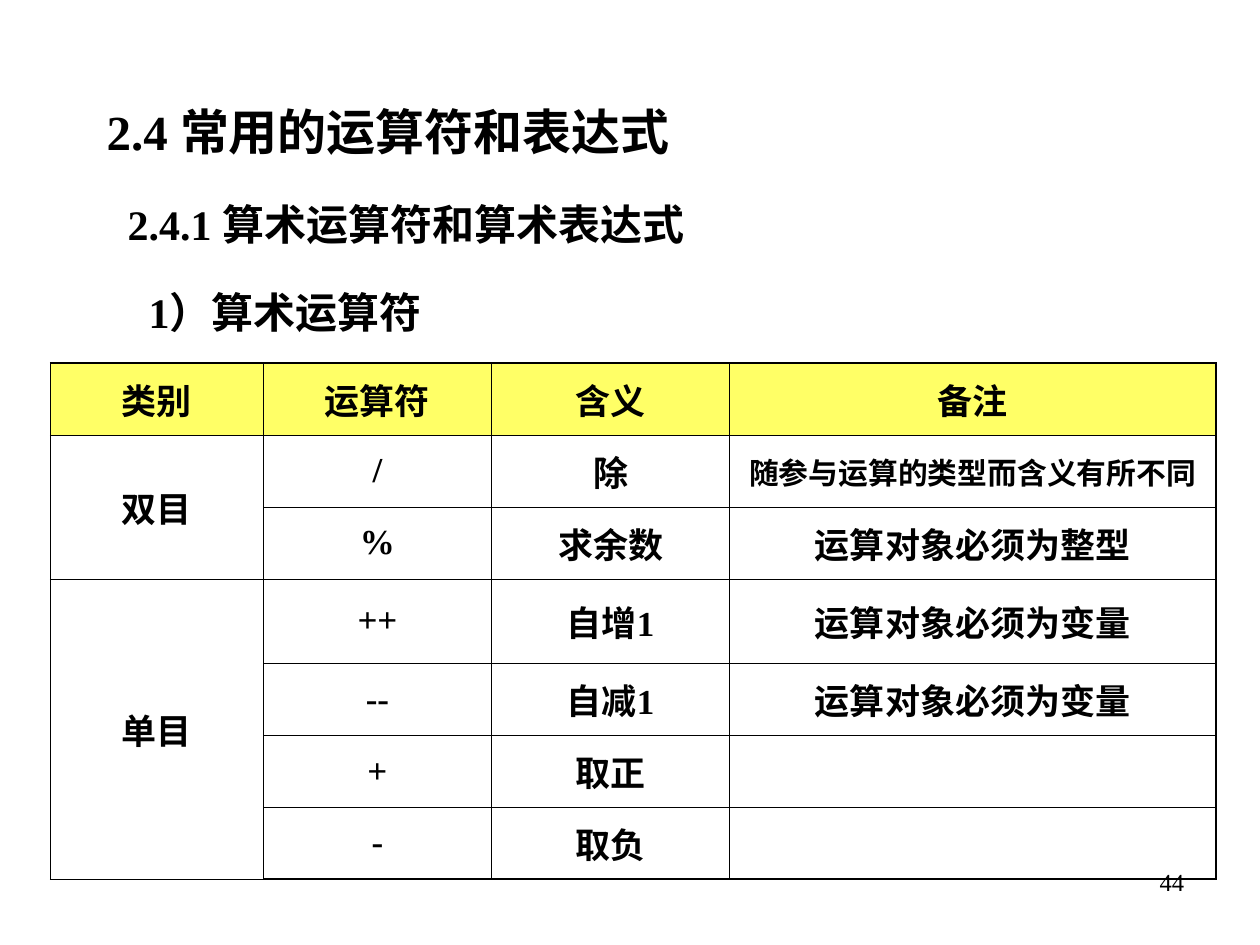
from dataclasses import dataclass

import lxml.etree
import pptx
import pptx.dml.color
import pptx.enum.text
import pptx.oxml.ns
import pptx.util

Cm = pptx.util.Cm
Pt = pptx.util.Pt
PP_ALIGN = pptx.enum.text.PP_ALIGN

FONT = "Times New Roman"
COLORS = {"text": "000000", "border": "000000", "header": "FFFF66"}
THIN, THICK = 0.45, 1.08


@dataclass
class Heading:
    text: str
    size: float
    indent: float = 0
    space_before: float = 0


@dataclass
class Entry:
    text: str = ""
    size: float = 20
    rows: int = 1


HEADINGS = [
    Heading("2.4 常用的运算符和表达式", 28),
    Heading("2.4.1 算术运算符和算术表达式", 24, 12, 7.5),
    Heading("1）算术运算符", 24, 24, 7.5),
]
COLUMN_WIDTHS = [4.29, 4.6, 4.8, 9.8]
ROW_HEIGHTS = [1.45, 1.45, 1.45, 1.7, 1.45, 1.45, 1.45]
OPERATORS = [
    [Entry("类别"), Entry("运算符"), Entry("含义"), Entry("备注")],
    [Entry("双目", rows=2), Entry("/"), Entry("除"), Entry("随参与运算的类型而含义有所不同", 17)],
    [Entry(), Entry("%"), Entry("求余数"), Entry("运算对象必须为整型")],
    [Entry("单目", rows=4), Entry("++"), Entry("自增1"), Entry("运算对象必须为变量")],
    [Entry(), Entry("--"), Entry("自减1"), Entry("运算对象必须为变量")],
    [Entry(), Entry("+"), Entry("取正"), Entry()],
    [Entry(), Entry("-"), Entry("取负"), Entry()],
]


def rgb(name: str) -> pptx.dml.color.RGBColor:
    return pptx.dml.color.RGBColor.from_string(COLORS[name])


def add_run(p, text: str, size: float, bold: bool = True) -> None:
    r = p.add_run()
    r.text = text
    r.font.name = FONT
    r.font.size = Pt(size)
    r.font.bold = bold
    r.font.color.rgb = rgb("text")


def add_headings(s) -> None:
    tf = s.shapes.add_textbox(Cm(1.9), Cm(1.32), Cm(21.8), Cm(5.61)).text_frame
    tf.word_wrap = True
    tf.auto_size = pptx.enum.text.MSO_AUTO_SIZE.SHAPE_TO_FIT_TEXT
    for i, heading in enumerate(HEADINGS):
        p = tf.add_paragraph() if i else tf.paragraphs[0]
        p.line_spacing = 1.5
        if heading.space_before:
            p.space_before = Pt(heading.space_before)
        if heading.indent:
            pPr = p._p.get_or_add_pPr()
            pPr.set("marL", str(Pt(heading.indent)))
            pPr.set("indent", "0")
        add_run(p, heading.text, heading.size)


def set_border(cell, side: str, width: float) -> None:
    qn = pptx.oxml.ns.qn
    tcPr = cell._tc.get_or_add_tcPr()
    ln = lxml.etree.SubElement(tcPr, qn(f"a:ln{side}"), w=str(Pt(width)))
    fill = lxml.etree.SubElement(ln, qn("a:solidFill"))
    lxml.etree.SubElement(fill, qn("a:srgbClr"), val=COLORS["border"])


def style_cell(cell, row: int, col: int) -> None:
    outer = {
        "L": col == 0,
        "R": col == len(COLUMN_WIDTHS) - 1,
        "T": row == 0,
        "B": row == len(ROW_HEIGHTS) - 1,
    }
    for side, is_outer in outer.items():
        set_border(cell, side, THICK if is_outer else THIN)
    if row == 0:
        cell.fill.solid()
        cell.fill.fore_color.rgb = rgb("header")
    else:
        cell.fill.background()
    cell.vertical_anchor = pptx.enum.text.MSO_ANCHOR.MIDDLE


def add_operator_table(s) -> None:
    table = s.shapes.add_table(
        len(ROW_HEIGHTS), len(COLUMN_WIDTHS), Cm(1.02), Cm(7.32),
        Cm(sum(COLUMN_WIDTHS)), Cm(sum(ROW_HEIGHTS)),
    ).table
    table.first_row = False
    table.horz_banding = False
    for column, width in zip(table.columns, COLUMN_WIDTHS):
        column.width = Cm(width)
    for table_row, height in zip(table.rows, ROW_HEIGHTS):
        table_row.height = Cm(height)
    for row, entries in enumerate(OPERATORS):
        for col, entry in enumerate(entries):
            cell = table.cell(row, col)
            style_cell(cell, row, col)
            if entry.rows > 1:
                cell.merge(table.cell(row + entry.rows - 1, col))
            if entry.text:
                p = cell.text_frame.paragraphs[0]
                p.alignment = PP_ALIGN.CENTER
                add_run(p, entry.text, entry.size)


def add_page_number(s) -> None:
    tf = s.shapes.add_textbox(Cm(18.2), Cm(17.35), Cm(5.92), Cm(1.32)).text_frame
    tf.word_wrap = True
    p = tf.paragraphs[0]
    p.alignment = PP_ALIGN.RIGHT
    add_run(p, "44", 14, bold=False)


def main() -> None:
    prs = pptx.Presentation()
    prs.slide_width, prs.slide_height = Cm(25.4), Cm(19.05)
    s = prs.slides.add_slide(prs.slide_layouts[6])
    add_page_number(s)
    add_headings(s)
    add_operator_table(s)
    prs.save("out.pptx")


if __name__ == "__main__":
    main()
